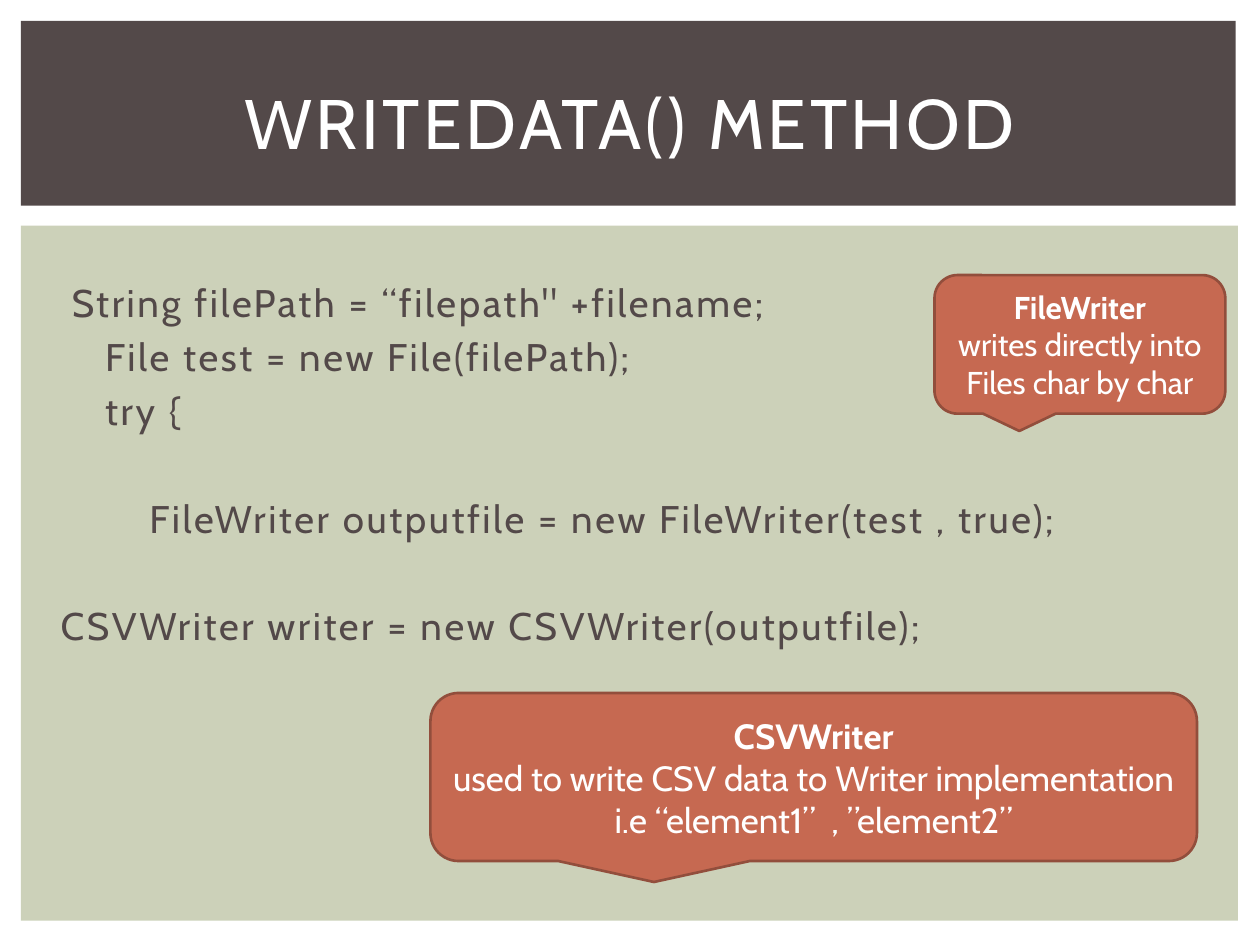
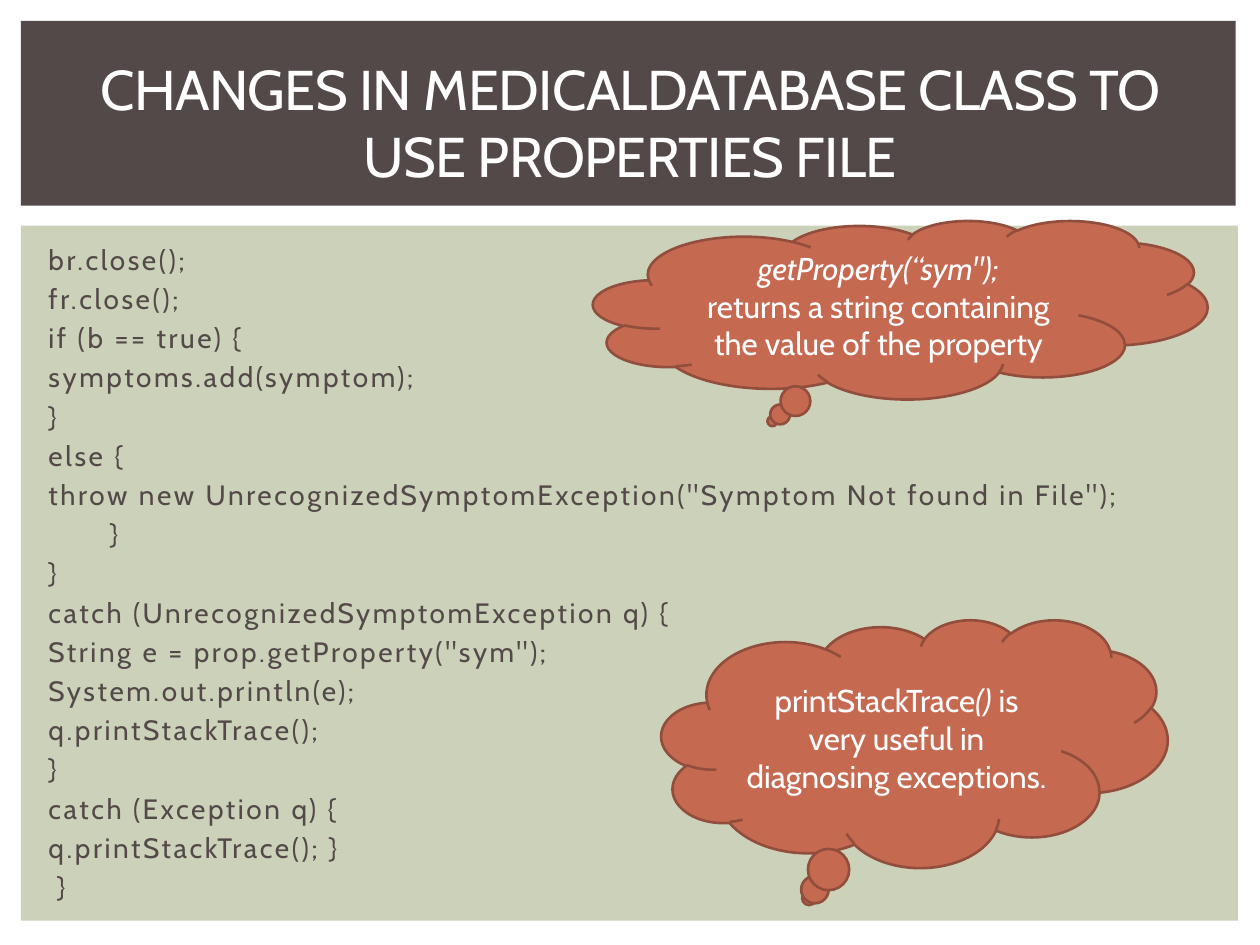
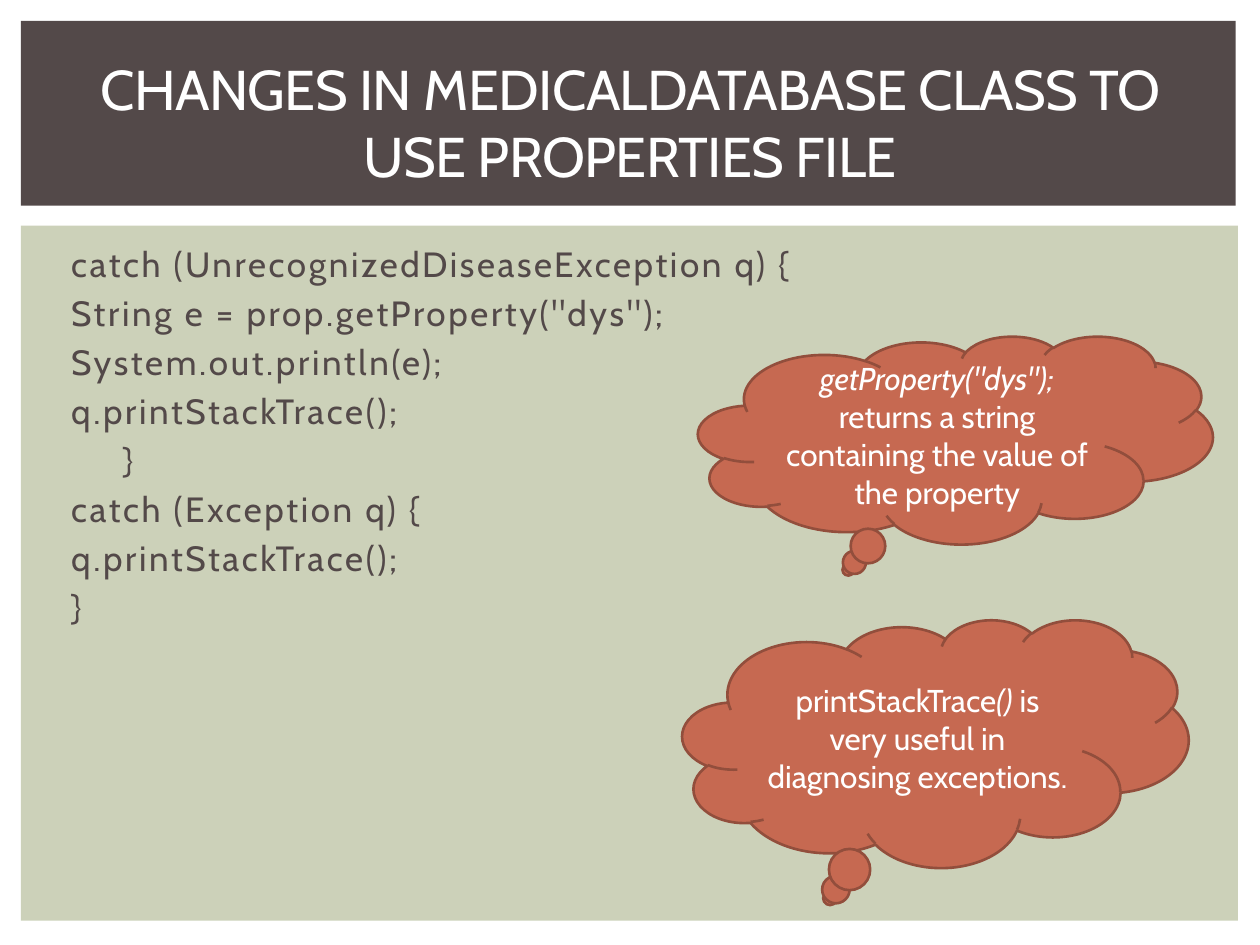
from dataclasses import dataclass

from pptx import Presentation
from pptx.dml.color import RGBColor
from pptx.enum.shapes import MSO_SHAPE
from pptx.enum.text import MSO_ANCHOR, PP_ALIGN
from pptx.util import Inches, Pt

COLUMNS, ROWS = 120, 90


@dataclass(frozen=True)
class Theme:
    font: str = "Cabin"
    white: RGBColor = RGBColor.from_string("FFFFFF")
    dark: RGBColor = RGBColor.from_string("534949")
    sage: RGBColor = RGBColor.from_string("CCD1B9")
    rust: RGBColor = RGBColor.from_string("C66951")
    rust_edge: RGBColor = RGBColor.from_string("924E3C")
    title_size: float = 40
    long_title_size: float = 32
    note_size: float = 18
    large_note_size: float = 20
    edge_width: float = 1.5
    code_tracking: float = 1.5
    code_margin: float = 0.05
    code_gap: float = 0.2       # space before a line, as a share of type size
    code_pitch: float = 1.4     # full line step, as a share of type size
    space_width: float = 0.22   # width of one space, as a share of type size


class DeckBuilder:
    """Holds the theme and the current page; areas are (column, row, columns, rows)."""

    def __init__(self, theme):
        self.theme = theme
        self.deck = Presentation()
        self.deck.slide_width, self.deck.slide_height = Inches(10), Inches(7.5)
        self.page = None

    def place(self, area):
        column, row, columns, rows = area
        across = self.deck.slide_width / COLUMNS
        down = self.deck.slide_height / ROWS
        return (round(column * across), round(row * down),
                round(columns * across), round(rows * down))

    def shape(self, kind, area, fill, edge=None):
        shape = self.page.shapes.add_shape(kind, *self.place(area))
        shape.shadow.inherit = False
        shape.fill.solid()
        shape.fill.fore_color.rgb = fill
        if edge is None:
            shape.line.fill.background()
        else:
            shape.line.color.rgb = edge
            shape.line.width = Pt(self.theme.edge_width)
        return shape

    def text_box(self, area):
        box = self.page.shapes.add_textbox(*self.place(area))
        box.text_frame.word_wrap = True
        return box.text_frame

    def span(self, para, text, size, color, style="", tracking=0):
        span = para.add_run()
        span.text = text
        span.font.name = self.theme.font
        span.font.size = Pt(size)
        span.font.color.rgb = color
        span.font.bold = style == "bold"
        span.font.italic = style == "italic"
        if tracking:
            span._r.get_or_add_rPr().set("spc", str(round(tracking * 100)))

    def paras(self, frame, items):
        """Pair each item with a paragraph of the frame."""
        for index, item in enumerate(items):
            yield (frame.add_paragraph() if index else frame.paragraphs[0]), item

    def new_page(self, title, size, tracking):
        self.page = self.deck.slides.add_slide(self.deck.slide_layouts[6])
        self.shape(MSO_SHAPE.RECTANGLE, (2, 21.5, 115.9, 66.2), self.theme.sage)
        self.shape(MSO_SHAPE.RECTANGLE, (2, 2, 115.7, 17.6), self.theme.dark)
        frame = self.text_box((5, 4.7, 110, 13.8))
        frame.vertical_anchor = MSO_ANCHOR.MIDDLE
        para = frame.paragraphs[0]
        para.alignment = PP_ALIGN.CENTER
        self.span(para, title, size, self.theme.white, tracking=tracking)

    def code(self, area, size, lines):
        """Each line is (indent in spaces, text); None leaves a line open."""
        theme = self.theme
        indent_step = Pt(theme.code_tracking + theme.space_width * size)
        shown, skipped = [], 0
        for line in lines:
            if line is None:
                skipped += 1
            else:
                shown.append((skipped, *line))
                skipped = 0
        for para, (gap, indent, text) in self.paras(self.text_box(area), shown):
            margin = Inches(theme.code_margin) + indent * indent_step
            properties = para._p.get_or_add_pPr()
            properties.set("marL", str(margin))
            properties.set("indent", "0")
            if para._p.getprevious().tag.endswith("}p"):
                para.space_before = Pt(size * (theme.code_gap + gap * theme.code_pitch))
            self.span(para, text, size, theme.dark, tracking=theme.code_tracking)

    def callout(self, kind, area, size, content):
        """Content is a list of paragraphs, each a list of (text, style)."""
        theme = self.theme
        frame = self.shape(kind, area, theme.rust, theme.rust_edge).text_frame
        frame.word_wrap = True
        frame.vertical_anchor = MSO_ANCHOR.MIDDLE
        for para, spans in self.paras(frame, content):
            para.alignment = PP_ALIGN.CENTER
            for text, style in spans:
                self.span(para, text, size, theme.white, style)

    def bubble(self, area, heading, text):
        self.callout(MSO_SHAPE.CLOUD_CALLOUT, area, self.theme.note_size,
                     [[(heading, "italic")], [(text, "")]])

    def trace_bubble(self, column):
        self.callout(MSO_SHAPE.CLOUD_CALLOUT, (column, 59, 48.2, 23.6),
                     self.theme.note_size,
                     [[("printStackTrace", ""), ("() ", "italic"),
                       ("is very useful in diagnosing exceptions.", "")]])

    def label(self, area, size, heading, text):
        self.callout(MSO_SHAPE.ROUNDED_RECTANGULAR_CALLOUT, area, size,
                     [[(heading, "bold")], [(text, "")]])


PROPERTIES_TITLE = "CHANGES IN MEDICALDATABASE CLASS TO USE PROPERTIES FILE"
PROPERTY_NOTE = "returns a string containing the value of the property"


def main():
    theme = Theme()
    builder = DeckBuilder(theme)

    # Writing data
    builder.new_page("WRITEDATA() METHOD", theme.title_size, 2)
    builder.code((4, 26, 110.3, 57.8), 22, [
        (1, 'String filePath = “filepath" +filename;'),
        (4, "File test = new File(filePath);"),
        (4, "try {"),
        None,
        (8, "FileWriter outputfile = new FileWriter(test , true);"),
        None,
        (0, "CSVWriter writer = new CSVWriter(outputfile);"),
    ])
    builder.label((41, 66, 73, 16), theme.large_note_size, "CSVWriter",
                  "used to write CSV data to Writer implementation "
                  "i.e “element1”  , ”element2”")
    builder.label((89, 26.2, 27.7, 13.2), theme.note_size, "FileWriter",
                  "writes directly into Files char by char")

    # Symptom exceptions
    builder.new_page(PROPERTIES_TITLE, theme.long_title_size, -0.4)
    builder.code((2, 22.5, 116, 66.5), 16, [
        (1, "br.close();"),
        (1, "fr.close();"),
        (1, "if (b == true) {"),
        (1, "symptoms.add(symptom);"),
        (1, "}"),
        (1, "else {"),
        (1, 'throw new UnrecognizedSymptomException("Symptom Not found in File");'),
        (8, "}"),
        (1, "}"),
        (1, "catch (UnrecognizedSymptomException q) {"),
        (1, 'String e = prop.getProperty("sym");'),
        (1, "System.out.println(e);"),
        (1, "q.printStackTrace();"),
        (1, "}"),
        (1, "catch (Exception q) {"),
        (1, "q.printStackTrace(); }"),
        (2, "}"),
    ])
    builder.bubble((56.5, 21, 58.5, 17), 'getProperty(“sym");', PROPERTY_NOTE)
    builder.trace_bubble(63)

    # Disease exceptions
    builder.new_page(PROPERTIES_TITLE, theme.long_title_size, -0.4)
    builder.code((5, 22.5, 110.3, 57.8), 20, [
        (0, "catch (UnrecognizedDiseaseException q) {"),
        (0, 'String e = prop.getProperty("dys");'),
        (0, "System.out.println(e);"),
        (0, "q.printStackTrace();"),
        (5, "}"),
        (0, "catch (Exception q) {"),
        (0, "q.printStackTrace();"),
        (0, "}"),
    ])
    builder.trace_bubble(65)
    builder.bubble((66.5, 32, 49, 19.8), 'getProperty("dys");', PROPERTY_NOTE)

    builder.deck.save("out.pptx")


if __name__ == "__main__":
    main()
